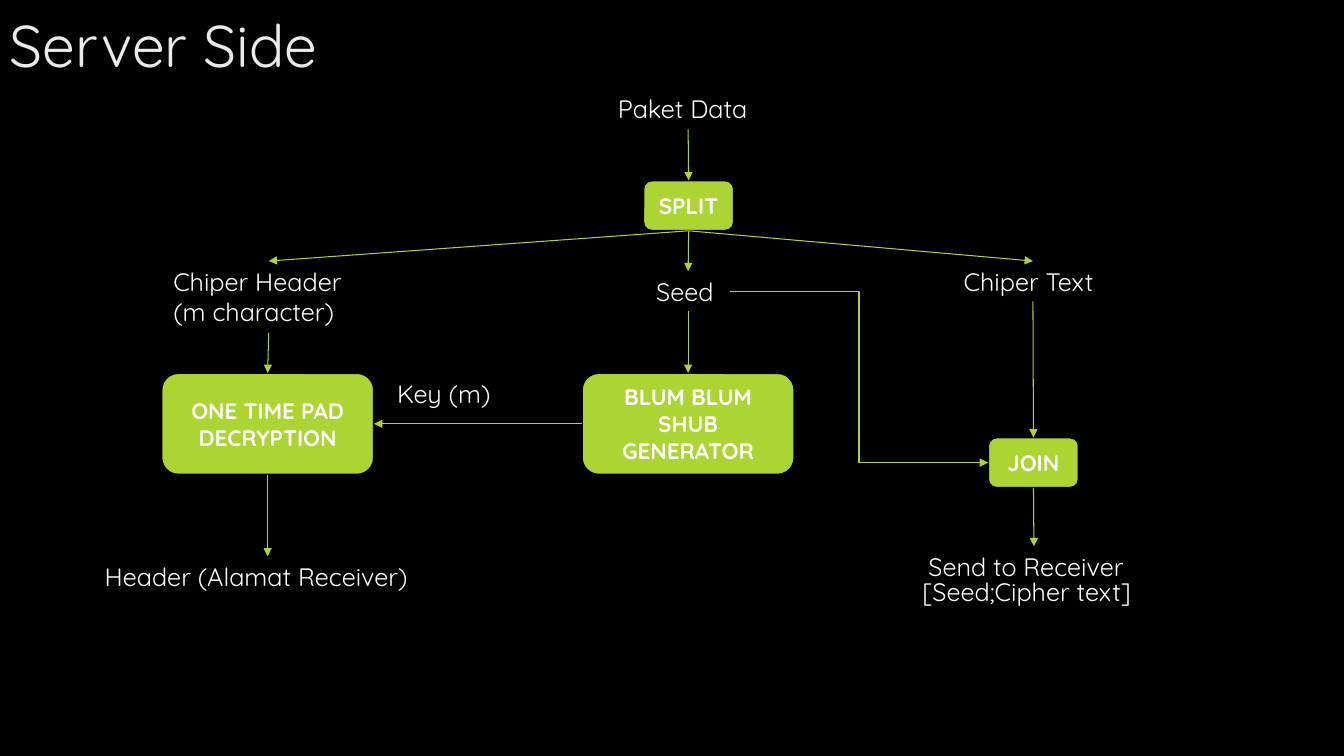
import pptx
import pptx.util
import pptx.dml.color
import pptx.enum.shapes
import pptx.enum.text
import pptx.oxml
import pptx.oxml.ns

TOP, LEFT, BOTTOM, RIGHT = range(4)


def rgb(value):
    return pptx.dml.color.RGBColor.from_string(value)


def px(n):
    return pptx.util.Emu(n * 9144)


class Flowchart:
    """Draws labels, boxes and arrows on one slide in a shared style."""

    font = "Quicksand"
    white = "FFFFFF"
    black = "000000"
    green = "ACD433"

    def __init__(self, prs):
        self.s = prs.slides.add_slide(prs.slide_layouts[6])
        self.s.background.fill.solid()
        self.s.background.fill.fore_color.rgb = rgb(self.black)

    def add_text(self, p, text, size, color, bold=False):
        r = p.add_run()
        r.text = text
        r.font.name = self.font
        r.font.size = pptx.util.Pt(size)
        r.font.bold = bold
        r.font.color.rgb = rgb(color)

    def title(self, x, y, w, h, text):
        tf = self.s.shapes.add_textbox(px(x), px(y), px(w), px(h)).text_frame
        tf.word_wrap = True
        tf.vertical_anchor = pptx.enum.text.MSO_ANCHOR.MIDDLE
        self.add_text(tf.paragraphs[0], text, 42, "EBEBEB")

    def label(self, x, y, w, h, *lines):
        sp = self.s.shapes.add_textbox(px(x), px(y), px(w), px(h))
        tf = sp.text_frame
        tf.word_wrap = False
        tf.auto_size = pptx.enum.text.MSO_AUTO_SIZE.SHAPE_TO_FIT_TEXT
        for i, line in enumerate(lines):
            p = tf.add_paragraph() if i else tf.paragraphs[0]
            self.add_text(p, line, 18, self.white)
        return sp

    def box(self, x, y, w, h, text):
        sp = self.s.shapes.add_shape(
            pptx.enum.shapes.MSO_SHAPE.ROUNDED_RECTANGLE, px(x), px(y), px(w), px(h))
        sp.shadow.inherit = False
        sp.fill.solid()
        sp.fill.fore_color.rgb = rgb(self.green)
        sp.line.color.rgb = rgb(self.black)
        sp.line.width = pptx.util.Pt(1.5)
        tf = sp.text_frame
        tf.word_wrap = True
        tf.vertical_anchor = pptx.enum.text.MSO_ANCHOR.MIDDLE
        p = tf.paragraphs[0]
        p.alignment = pptx.enum.text.PP_ALIGN.CENTER
        self.add_text(p, text, 16, self.white, bold=True)
        return sp

    def arrow(self, start, end, leave=BOTTOM, enter=TOP, bent=False):
        kind = pptx.enum.shapes.MSO_CONNECTOR
        c = self.s.shapes.add_connector(kind.ELBOW if bent else kind.STRAIGHT, 0, 0, 0, 0)
        c.begin_connect(start, leave)
        c.end_connect(end, enter)
        c.line.color.rgb = rgb(self.green)
        c.line.width = pptx.util.Pt(0.75)
        ln = c.line._get_or_add_ln()
        ln.append(pptx.oxml.parse_xml(
            f'<a:tailEnd {pptx.oxml.ns.nsdecls("a")} type="triangle"/>'))
        ln.addnext(pptx.oxml.parse_xml(f'<a:effectLst {pptx.oxml.ns.nsdecls("a")}/>'))


def main():
    prs = pptx.Presentation()
    prs.slide_width, prs.slide_height = px(1333), px(750)
    chart = Flowchart(prs)

    chart.title(0, 0, 392, 88, "Server Side")
    packet = chart.label(603, 88, 159, 40, "Paket Data")
    header = chart.label(162, 259, 209, 71, "Chiper Header", "(m character)")
    seed = chart.label(641, 269, 83, 40, "Seed")
    cipher = chart.label(946, 259, 157, 40, "Chiper Text")
    chart.label(384, 370, 114, 40, "Key (m)")
    address = chart.label(94, 552, 343, 40, "Header (Alamat Receiver)")
    send = chart.label(911, 542, 229, 40, "Send to Receiver")
    chart.label(905, 567, 243, 40, "[Seed;Cipher text]")

    split = chart.box(638, 179, 90, 50, "SPLIT")
    generator = chart.box(577, 370, 211, 101, "BLUM BLUM SHUB GENERATOR")
    decryption = chart.box(160, 370, 211, 101, "ONE TIME PAD DECRYPTION")
    join = chart.box(980, 434, 90, 50, "JOIN")

    for start, end in (
        (packet, split), (split, header), (split, seed), (split, cipher),
        (header, decryption), (seed, generator), (cipher, join),
        (decryption, address), (join, send),
    ):
        chart.arrow(start, end)
    chart.arrow(generator, decryption, LEFT, RIGHT)
    chart.arrow(seed, join, RIGHT, LEFT, bent=True)

    prs.save("out.pptx")


if __name__ == "__main__":
    main()
